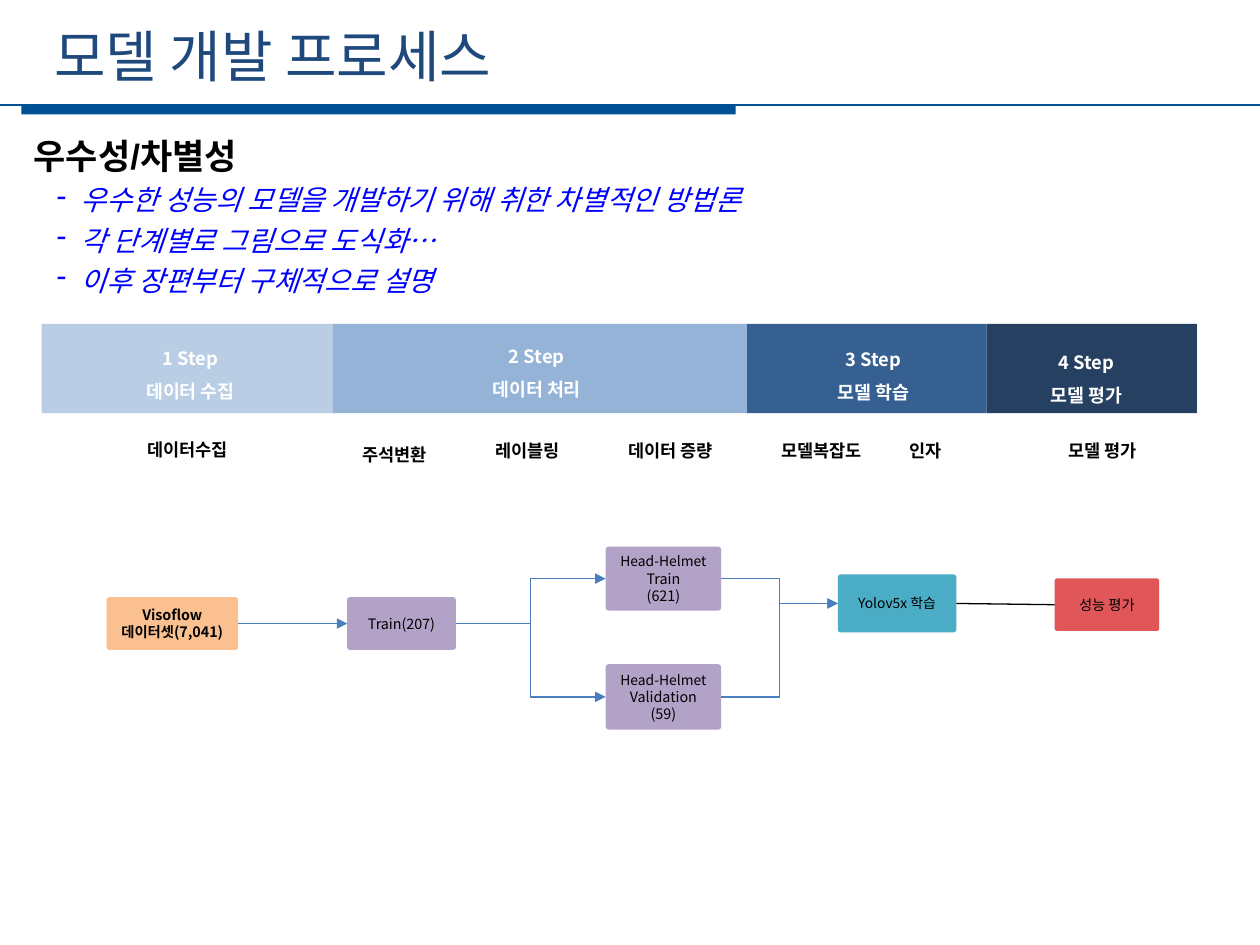
from dataclasses import dataclass

from lxml import etree
from pptx import Presentation
from pptx import util as u
from pptx.dml.color import RGBColor
from pptx.enum import shapes, text
from pptx.oxml import ns


@dataclass(frozen=True)
class Theme:
    font: str = "Noto Sans CJK KR"
    body_font: str = "Arial"
    title: str = "1F497D"
    rule: str = "005094"
    note: str = "0000FF"
    black: str = "000000"
    white: str = "FFFFFF"
    arrow: str = "4B7EBC"
    orange: str = "FAC090"
    purple: str = "B3A2C7"
    teal: str = "4BACC6"
    red: str = "E15759"
    title_size: float = 32
    heading_size: float = 20
    note_size: float = 16
    step_size: float = 10.5
    label_size: float = 10
    box_size: float = 8.2
    small_size: float = 7.9


THEME = Theme()

# Content; all lengths are in centimetres
TITLE = "모델 개발 프로세스"
HEADING = "우수성/차별성"
NOTES = [
    "우수한 성능의 모델을 개발하기 위해 취한 차별적인 방법론",
    "각 단계별로 그림으로 도식화…",
    "이후 장편부터 구체적으로 설명",
]
BAND_TOP, BAND_HEIGHT, BAND_RIGHT = 6.53, 1.8, 24.13
# band left, colour, text centre, text top, lines
STEPS = [
    (0.84, "B9CDE5", 3.84, 6.65, ["1 Step", "데이터 수집"]),
    (6.71, "95B3D7", 10.82, 6.62, ["2 Step", "데이터 처리"]),
    (15.06, "376092", 17.61, 6.67, ["3 Step", "모델 학습"]),
    (19.89, "254061", 21.9, 6.74, ["4 Step", "모델 평가"]),
]
# centre, top, label
LABELS = [
    (3.78, 8.72, "데이터수집"),
    (7.95, 8.82, "주석변환"),
    (10.64, 8.75, "레이블링"),
    (13.52, 8.75, "데이터 증량"),
    (16.56, 8.75, "모델복잡도"),
    (18.66, 8.75, "인자"),
    (22.22, 8.74, "모델 평가"),
]
# name: left, top, width, height, colour, bold, lines with their sizes
BOX, SMALL = THEME.box_size, THEME.small_size
BOXES = {
    "dataset": (2.15, 12.04, 2.65, 1.06, THEME.orange, True,
                [("Visoflow", BOX), ("데이터셋(7,041)", BOX)]),
    "split": (7.0, 12.04, 2.19, 1.06, THEME.purple, False, [("Train(207)", BOX)]),
    "train": (12.21, 11.02, 2.33, 1.29, THEME.purple, False,
              [("Head-Helmet", SMALL), ("Train", BOX), ("(621)", BOX)]),
    "validation": (12.21, 13.39, 2.33, 1.32, THEME.purple, False,
                   [("Head-Helmet", SMALL), ("Validation", BOX), ("(59)", BOX)]),
    "learning": (16.89, 11.58, 2.39, 1.17, THEME.teal, False, [("Yolov5x 학습", SMALL)]),
    "evaluation": (21.26, 11.66, 2.11, 1.06, THEME.red, False, [("성능 평가", BOX)]),
}
STRAIGHT, ELBOW = shapes.MSO_CONNECTOR.STRAIGHT, shapes.MSO_CONNECTOR.ELBOW
# from, to, kind, colour, arrowhead
LINKS = [
    ("learning", "evaluation", STRAIGHT, THEME.black, False),
    ("dataset", "split", STRAIGHT, THEME.arrow, True),
    ("split", "train", ELBOW, THEME.arrow, True),
    ("split", "validation", ELBOW, THEME.arrow, True),
    ("train", "learning", ELBOW, THEME.arrow, True),
    ("validation", "learning", ELBOW, THEME.arrow, True),
]
LEFT_SITE, RIGHT_SITE = 1, 3
CENTER = text.PP_ALIGN.CENTER


def rgb(value):
    return RGBColor.from_string(value)


def style(paragraph, size, color, bold=False, italic=False, name=THEME.font):
    font = paragraph.font
    font.size, font.bold, font.italic, font.name = u.Pt(size), bold, italic, name
    font.color.rgb = rgb(color)
    properties = paragraph._p.pPr.find(ns.qn("a:defRPr"))
    etree.SubElement(properties, ns.qn("a:ea"), typeface=THEME.font)


def write(frame, lines, color, bold=False, align=None, spacing=None):
    """Fill a frame with one paragraph for each (words, size) line."""
    for index, (words, size) in enumerate(lines):
        paragraph = frame.paragraphs[0] if index == 0 else frame.add_paragraph()
        paragraph.text = words
        paragraph.alignment = align
        paragraph.line_spacing = spacing
        style(paragraph, size, color, bold)


def add_text(slide, left, top, width, height):
    frame = slide.shapes.add_textbox(u.Cm(left), u.Cm(top), u.Cm(width), u.Cm(height)).text_frame
    frame.word_wrap = True
    return frame


def add_block(slide, kind, left, top, width, height, color):
    shape = slide.shapes.add_shape(kind, u.Cm(left), u.Cm(top), u.Cm(width), u.Cm(height))
    shape.shadow.inherit = False
    shape.fill.solid()
    shape.fill.fore_color.rgb = rgb(color)
    shape.line.fill.background()
    return shape


def finish_line(connector, color, width, arrow=False):
    connector.line.color.rgb = rgb(color)
    connector.line.width = u.Pt(width)
    properties = connector._element.spPr
    if arrow:
        etree.SubElement(properties.find(ns.qn("a:ln")), ns.qn("a:tailEnd"), type="triangle")
    etree.SubElement(properties, ns.qn("a:effectLst"))


def add_header(slide):
    add_block(slide, shapes.MSO_SHAPE.RECTANGLE, 0.43, 2.11, 14.4, 0.2, THEME.rule)
    rule = slide.shapes.add_connector(STRAIGHT, 0, u.Cm(2.11), u.Cm(25.4), u.Cm(2.11))
    finish_line(rule, THEME.rule, 1.25)
    write(add_text(slide, 0.84, 0.3, 22.76, 1.63), [(TITLE, THEME.title_size)], THEME.title)


def add_summary(slide):
    frame = add_text(slide, 0.43, 2.62, 24.18, 3.45)
    heading = frame.paragraphs[0]
    heading.text = HEADING
    heading.line_spacing = u.Pt(23)
    style(heading, THEME.heading_size, THEME.black, bold=True, name=THEME.body_font)
    for note in NOTES:
        paragraph = frame.add_paragraph()
        paragraph.text = note
        paragraph.line_spacing = u.Pt(23)
        properties = paragraph._p.get_or_add_pPr()
        properties.set("marL", str(u.Cm(0.95)))
        properties.set("indent", str(-u.Cm(0.48)))
        etree.SubElement(properties, ns.qn("a:buChar"), char="-")
        style(paragraph, THEME.note_size, THEME.note, italic=True, name=THEME.body_font)


def add_steps(slide):
    edges = [step[0] for step in STEPS] + [BAND_RIGHT]
    for (left, color, *_), right in zip(STEPS, edges[1:]):
        add_block(slide, shapes.MSO_SHAPE.RECTANGLE, left, BAND_TOP, right - left, BAND_HEIGHT, color)
    for _, _, center, top, lines in STEPS:
        frame = add_text(slide, center - 1.5, top, 3, 1.52)
        write(frame, [(line, THEME.step_size) for line in lines], THEME.white, True, CENTER, 1.5)
    for center, top, label in LABELS:
        frame = add_text(slide, center - 1.3, top, 2.6, 0.69)
        write(frame, [(label, THEME.label_size)], THEME.black, True, CENTER)


def add_flow(slide):
    blocks = {}
    for name, (left, top, width, height, color, bold, lines) in BOXES.items():
        block = add_block(slide, shapes.MSO_SHAPE.ROUNDED_RECTANGLE, left, top, width, height, color)
        block.adjustments[0] = 0.05
        block.text_frame.word_wrap = True
        block.text_frame.vertical_anchor = text.MSO_ANCHOR.MIDDLE
        write(block.text_frame, lines, THEME.black, bold, CENTER)
        blocks[name] = block
    for start, end, kind, color, arrow in LINKS:
        connector = slide.shapes.add_connector(kind, 0, 0, 0, 0)
        connector.begin_connect(blocks[start], RIGHT_SITE)
        connector.end_connect(blocks[end], LEFT_SITE)
        finish_line(connector, color, 0.75, arrow)


def main():
    presentation = Presentation()
    presentation.slide_width, presentation.slide_height = u.Cm(25.4), u.Cm(19.05)
    slide = presentation.slides.add_slide(presentation.slide_layouts[6])
    add_header(slide)
    add_summary(slide)
    add_steps(slide)
    add_flow(slide)
    presentation.save("out.pptx")


if __name__ == "__main__":
    main()
